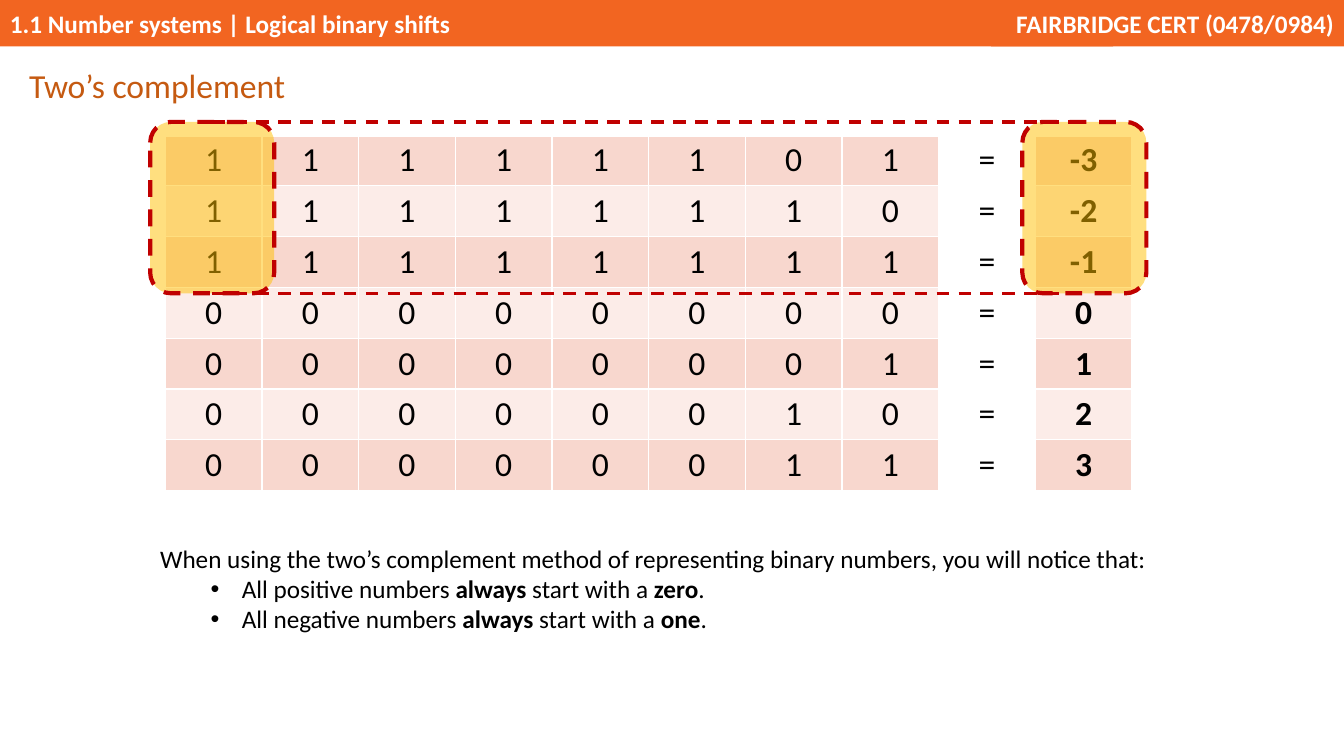
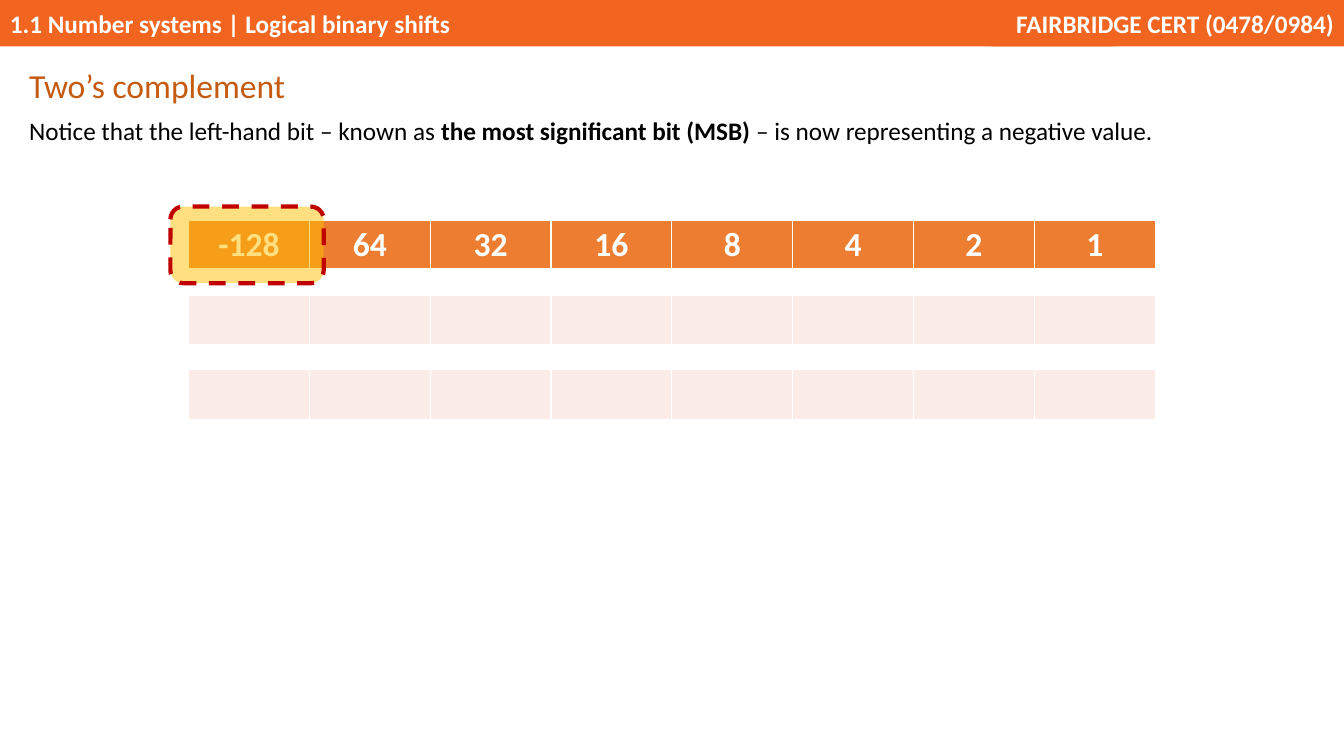
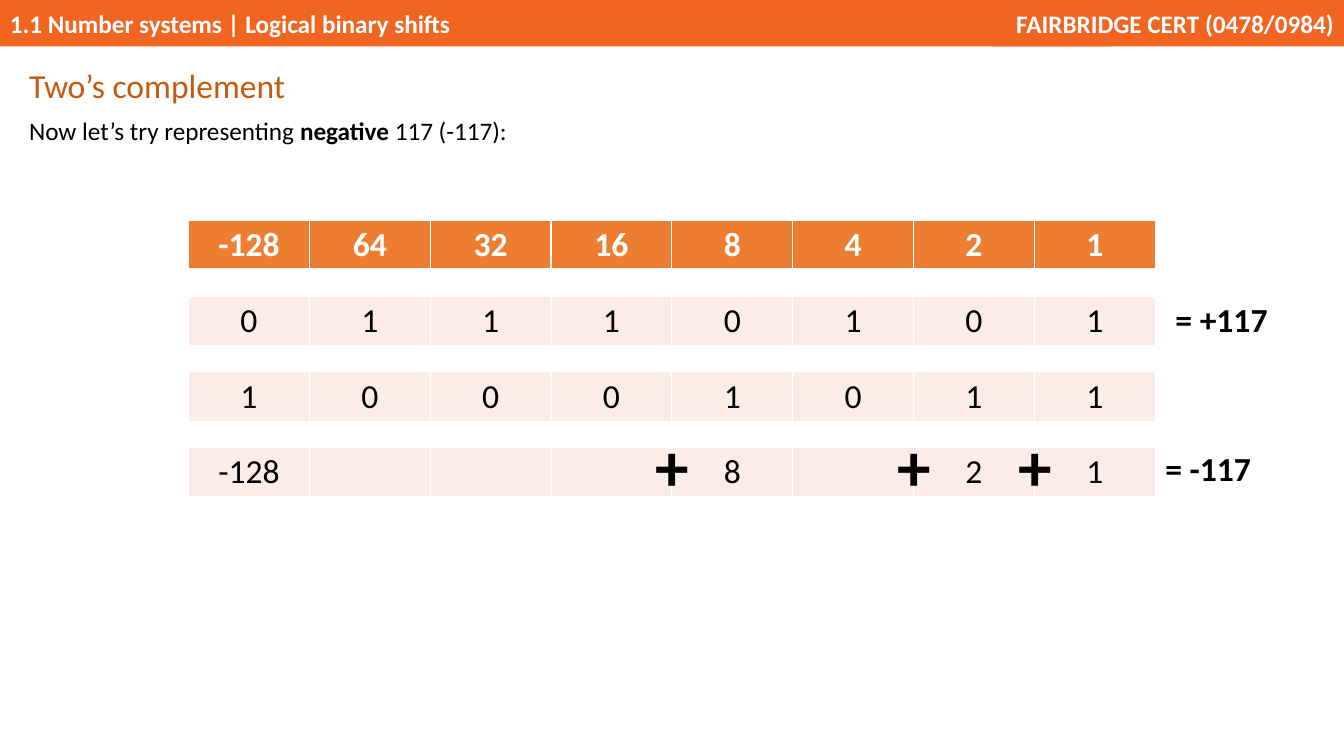
from lxml.etree import SubElement
from pptx import Presentation
from pptx.dml.color import RGBColor
from pptx.enum.dml import MSO_LINE
from pptx.enum.shapes import MSO_CONNECTOR, MSO_SHAPE
from pptx.enum.text import MSO_ANCHOR, PP_ALIGN
from pptx.oxml.ns import qn
from pptx.util import Inches, Pt

FONT = "Calibri"
WHITE, BLACK = "FFFFFF", "000000"
BAND, TITLE, HEAD = "F26521", "C55A11", "ED7D31"
DARK, LIGHT = "F8D7CE", "FCECE8"
AMBER, RED = "FFC000", "C00000"
LEFT, CENTER, RIGHT = PP_ALIGN.LEFT, PP_ALIGN.CENTER, PP_ALIGN.RIGHT

WEIGHTS = [-128, 64, 32, 16, 8, 4, 2, 1]
TABLE_X, TABLE_Y, TABLE_W, ROW_H = 1.87, 2.19, 9.59, 0.49
COL_W = TABLE_W / len(WEIGHTS)


def rgb(color):
    """Turn a hex string into a colour."""
    return RGBColor.from_string(color)


def inches(box):
    """Turn a box of plain numbers into lengths."""
    return [Inches(v) for v in box]


def bits(n):
    """Return the eight two's complement bits of n."""
    return list(format(n & 255, "08b"))


def write(tf, *lines, size=18, color=BLACK, bold=False, align=LEFT,
          spacing=None, after=None):
    """Fill a frame; ** switches bold, and a leading bullet indents a line."""
    for i, line in enumerate(lines):
        p = tf.add_paragraph() if i else tf.paragraphs[0]
        p.alignment = align
        p.line_spacing = spacing
        p.space_after = after
        if line.startswith("•"):
            line = line[1:]
            p.level = 1
            pPr = p._p.get_or_add_pPr()
            pPr.set("marL", str(Inches(0.81)))
            pPr.set("indent", str(Inches(-0.31)))
            SubElement(pPr, qn("a:buFont"), typeface="Arial")
            SubElement(pPr, qn("a:buChar"), char="•")
        for k, part in enumerate(line.split("**")):
            if part:
                r = p.add_run()
                r.text = part
                r.font.name, r.font.size = FONT, Pt(size)
                r.font.bold = bold or k % 2 == 1
                r.font.color.rgb = rgb(color)


def add_text(s, box, *lines, wrap=True, **fmt):
    """Add a text box."""
    tf = s.shapes.add_textbox(*inches(box)).text_frame
    tf.word_wrap = wrap
    write(tf, *lines, **fmt)


def add_band(s, box, text, align):
    """Add one part of the coloured band at the top."""
    sp = s.shapes.add_shape(MSO_SHAPE.RECTANGLE, *inches(box))
    sp.shadow.inherit = False
    sp.fill.solid()
    sp.fill.fore_color.rgb = rgb(BAND)
    sp.line.fill.background()
    sp.text_frame.vertical_anchor = MSO_ANCHOR.MIDDLE
    write(sp.text_frame, text, color=WHITE, bold=True, align=align)


def add_slide(prs):
    """Add a slide with the shared band and title."""
    s = prs.slides.add_slide(prs.slide_layouts[6])
    add_band(s, (0, 0, 11.04, 0.46),
             "1.1 Number systems | Logical binary shifts", LEFT)
    add_band(s, (9.83, 0, 3.5, 0.46), "FAIRBRIDGE CERT (0478/0984)", RIGHT)
    add_text(s, (0.19, 0.57, 2.77, 0.51), "Two’s complement", wrap=False,
             size=24, color=TITLE, spacing=1.07, after=Pt(8))
    return s


def dash(line, width):
    """Give a line the red dashed look."""
    line.color.rgb = rgb(RED)
    line.width = Pt(width)
    line.dash_style = MSO_LINE.DASH


def add_highlight(s, box):
    """Add a translucent rounded box with a dashed outline."""
    sp = s.shapes.add_shape(MSO_SHAPE.ROUNDED_RECTANGLE, *inches(box))
    sp.shadow.inherit = False
    sp.fill.solid()
    sp.fill.fore_color.rgb = rgb(AMBER)
    color = sp.fill._xPr.find(qn("a:solidFill"))[0]
    SubElement(color, qn("a:alpha"), val="50000")
    dash(sp.line, 3)
    return sp


def join(s, start, end, site):
    """Join the same side of two boxes with a dashed line."""
    line = s.shapes.add_connector(MSO_CONNECTOR.STRAIGHT, 0, 0, 0, 0)
    line.begin_connect(start, site)
    line.end_connect(end, site)
    SubElement(line._element.spPr, qn("a:effectLst"))
    dash(line.line, 2.25)


def style_cell(cell, text, fill, under=1, **fmt):
    """Set the borders, fill and text of a cell."""
    tcPr = cell._tc.get_or_add_tcPr()
    for side, width in zip("LRTB", (1, 1, 1, under)):
        ln = SubElement(tcPr, qn(f"a:ln{side}"), w=str(Pt(width)))
        SubElement(SubElement(ln, qn("a:solidFill")), qn("a:srgbClr"), val=WHITE)
    cell.fill.solid()
    cell.fill.fore_color.rgb = rgb(fill)
    cell.margin_top = cell.margin_bottom = Inches(0.03 if text else 0)
    cell.vertical_anchor = MSO_ANCHOR.MIDDLE
    if text:
        write(cell.text_frame, text, size=24, align=CENTER, **fmt)
    else:
        SubElement(cell.text_frame.paragraphs[0]._p, qn("a:endParaRPr"), sz="1000")


def add_grid(s, box, cols, heights):
    """Add a plain table with equal columns and the given row heights."""
    frame = s.shapes.add_table(len(heights), cols, *inches(box))
    table = frame.table
    table.horz_banding = False
    for col in table.columns:
        col.width = Inches(box[2] / cols)
    for row, height in zip(table.rows, heights):
        row.height = Inches(height)
    return table


def add_gap(table, row, under=1):
    """Make a row of the table an empty white gap."""
    for cell in table.rows[row].cells:
        style_cell(cell, "", WHITE, under)
    table.cell(row, 0).merge(table.cell(row, 7))


def number_table(s, box, numbers, gap=0.25):
    """List numbers as bits, an equals sign and a value."""
    n = len(numbers)
    table = add_grid(s, box, 10, [gap] + [(box[3] - gap) / n] * n)
    add_gap(table, 0, under=3)
    for i, number in enumerate(numbers, 1):
        band = DARK if i % 2 else LIGHT
        for j, text in enumerate(bits(number) + ["=", str(number)]):
            style_cell(table.cell(i, j), text, WHITE if j == 8 else band, bold=j == 9)


def weight_table(s, height, rows):
    """Show the place values above rows of cells, with equal gaps between."""
    n = len(rows)
    gap = (height - (n + 1) * ROW_H) / n
    table = add_grid(s, (TABLE_X, TABLE_Y, TABLE_W, height), len(WEIGHTS),
                     [ROW_H] + [gap, ROW_H] * n)
    for j, weight in enumerate(WEIGHTS):
        style_cell(table.cell(0, j), str(weight), HEAD, under=3, color=WHITE, bold=True)
    for i, row in enumerate(rows):
        add_gap(table, 2 * i + 1)
        for j, text in enumerate(row):
            style_cell(table.cell(2 * i + 2, j), text, LIGHT)


def add_lead(s, text):
    """Add the sentence under the title."""
    add_text(s, (0.19, 1.09, 12.47, 0.71), text)


def sign_slide(prs):
    """Show that the first bit gives the sign."""
    s = add_slide(prs)
    number_table(s, (1.64, 1.09, 9.59, 3.78), range(-3, 4))
    values, signs = [add_highlight(s, (x, 1.21, 1.23, 1.7)) for x in (10.14, 1.49)]
    for site in (0, 2):
        join(s, signs, values, site)
    add_text(s, (1.49, 5.34, 11.5, 1.28),
             "When using the two’s complement method of representing binary "
             "numbers, you will notice that:",
             "•All positive numbers **always** start with a **zero**.",
             "•All negative numbers **always** start with a **one**.")


def msb_slide(prs):
    """Introduce the negative place value."""
    s = add_slide(prs)
    weight_table(s, 1.97, [[""] * 8] * 2)
    add_lead(s, "Notice that the left-hand bit – known as **the most significant "
                "bit (MSB)** – is now representing a negative value.")
    add_highlight(s, (1.69, 2.05, 1.52, 0.76))


def example_slide(prs):
    """Work through one negative number."""
    s = add_slide(prs)
    negative = bits(-117)
    parts = [str(w) if bit == "1" else "" for w, bit in zip(WEIGHTS, negative)]
    weight_table(s, 2.74, [bits(117), negative, parts])
    for j, part in enumerate(parts):
        if j and part:
            add_text(s, (TABLE_X + j * COL_W - 0.26, 4.16, 0.38, 0.91), "+",
                     size=48, bold=True)
    for x, y, text in ((11.56, 2.92, "= +117"), (11.46, 4.39, "= -117")):
        add_text(s, (x, y, 1.39, 0.5), text, size=24, bold=True)
    add_lead(s, "Now let’s try representing **negative** 117 (-117):")


def main():
    """Build and save the slides."""
    prs = Presentation()
    prs.slide_width, prs.slide_height = Inches(13.33), Inches(7.5)
    for build in (sign_slide, msb_slide, example_slide):
        build(prs)
    prs.save("out.pptx")


if __name__ == "__main__":
    main()
